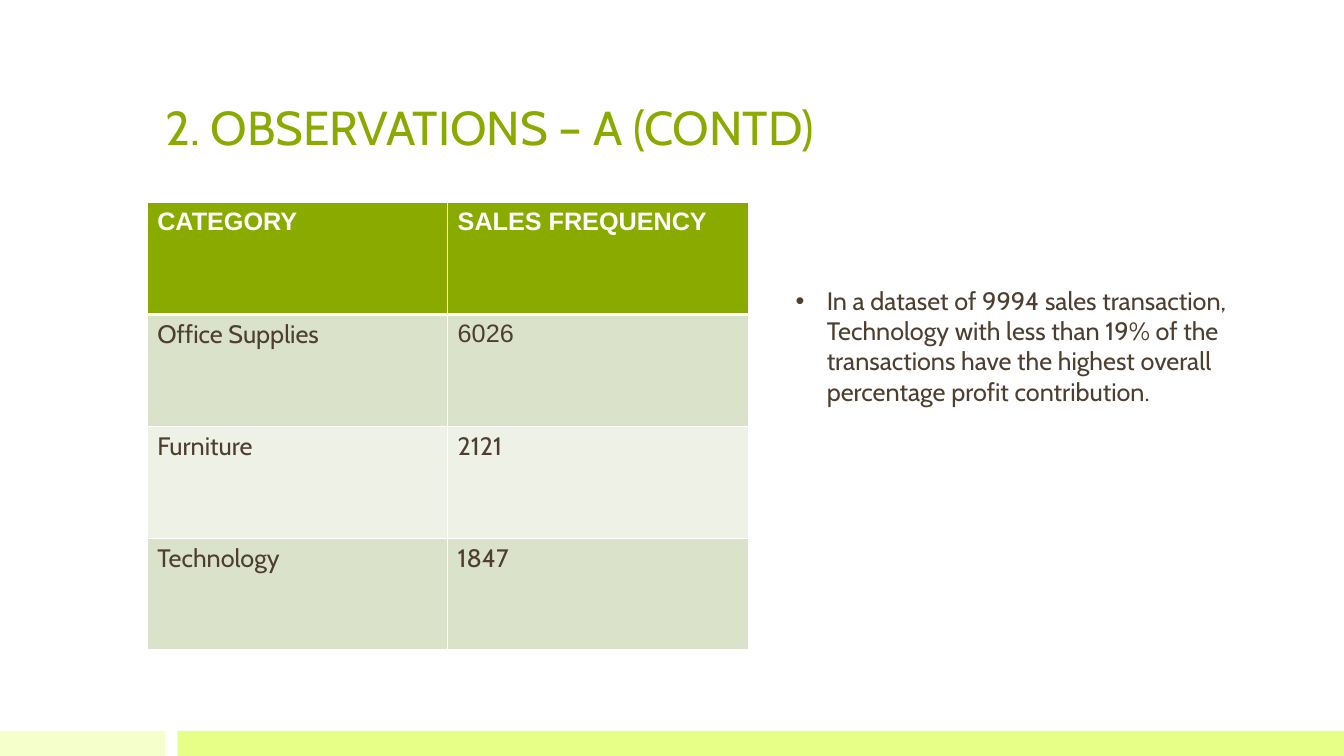
from lxml.etree import SubElement
from pptx import Presentation
from pptx.dml.color import RGBColor
from pptx.enum.shapes import MSO_SHAPE
from pptx.enum.text import MSO_ANCHOR, MSO_AUTO_SIZE, PP_ALIGN
from pptx.oxml.ns import qn
from pptx.util import Inches, Pt

GREEN = RGBColor(0x8B, 0xAA, 0x00)
BROWN = RGBColor(0x4D, 0x3E, 0x2F)
WHITE = RGBColor(0xFF, 0xFF, 0xFF)
PALE = RGBColor(0xF4, 0xFF, 0xCB)
LIME = RGBColor(0xE8, 0xFF, 0x87)
DARK = RGBColor(0xDA, 0xE2, 0xCA)
LIGHT = RGBColor(0xED, 0xF1, 0xE6)


class Deck:
    main, plain, size = "Cabin", "Arial", 18

    def __init__(self):
        self.file = Presentation()
        self.file.slide_width = Inches(13.33)
        self.file.slide_height = Inches(7.5)
        self.slide = self.file.slides.add_slide(self.file.slide_layouts[1])

    def place(self, shape, left, top, width, height):
        shape.left, shape.top = Inches(left), Inches(top)
        shape.width, shape.height = Inches(width), Inches(height)

    def label(self, para, text, color, size=None, face=None, bold=False):
        para.alignment = PP_ALIGN.LEFT
        para.space_before = Pt(0)
        run = para.add_run()
        run.text = text
        font = run.font
        font.name, font.size, font.bold = face or self.main, Pt(size or self.size), bold
        font.color.rgb = color

    def band(self, left, width, color):
        bar = self.slide.shapes.add_shape(
            MSO_SHAPE.RECTANGLE, Inches(left), Inches(7.25), Inches(width), Inches(0.25))
        bar.shadow.inherit = False
        bar.fill.solid()
        bar.fill.fore_color.rgb = color
        bar.line.fill.background()

    def title(self, text, *box):
        shape = self.slide.shapes.title
        self.place(shape, *box)
        frame = shape.text_frame
        frame.word_wrap = True
        frame.auto_size = MSO_AUTO_SIZE.NONE
        frame.vertical_anchor = MSO_ANCHOR.BOTTOM
        self.label(frame.paragraphs[0], text, GREEN, 34)

    def body(self, text, *box):
        shape = self.slide.placeholders[1]
        self.place(shape, *box)
        frame = shape.text_frame
        frame.word_wrap = True
        frame.auto_size = MSO_AUTO_SIZE.SHAPE_TO_FIT_TEXT
        frame.vertical_anchor = MSO_ANCHOR.TOP
        para = frame.paragraphs[0]
        props = para._p.get_or_add_pPr()
        props.set("marL", str(Inches(0.31)))
        props.set("indent", str(Inches(-0.31)))
        tint = SubElement(props, qn("a:buClr"))
        SubElement(tint, qn("a:srgbClr"), val=str(BROWN))
        SubElement(props, qn("a:buFont"), typeface=self.plain)
        SubElement(props, qn("a:buChar"), char="•")
        self.label(para, text, BROWN)

    def edge(self, cell, side, width):
        line = SubElement(cell._tc.get_or_add_tcPr(), qn("a:ln" + side), w=str(Pt(width)))
        fill = SubElement(line, qn("a:solidFill"))
        SubElement(fill, qn("a:srgbClr"), val=str(WHITE))

    def table(self, rows, left, top, wide, high):
        count, span = len(rows), len(rows[0])
        grid = self.slide.shapes.add_table(
            count, span, Inches(left), Inches(top),
            Inches(wide * span), Inches(high * count)).table
        for col in grid.columns:
            col.width = Inches(wide)
        for i, row in enumerate(rows):
            grid.rows[i].height = Inches(high)
            for j, (text, face) in enumerate(row):
                cell = grid.cell(i, j)
                # Borders come before the fill
                for side in "LRTB":
                    thick = (i, side) in ((0, "B"), (1, "T"))
                    self.edge(cell, side, 3 if thick else 1)
                cell.fill.solid()
                cell.fill.fore_color.rgb = GREEN if i == 0 else DARK if i % 2 else LIGHT
                self.label(cell.text_frame.paragraphs[0], text,
                           BROWN if i else WHITE, face=face, bold=i == 0)


def main():
    deck = Deck()

    # Footer bands
    deck.band(0, 1.64, PALE)
    deck.band(1.76, 11.57, LIME)

    # Title and finding
    deck.title("2. OBSERVATIONS – A (CONTD)", 1.54, 0.3, 10.25, 1.29)
    deck.body("In a dataset of 9994 sales transaction, Technology with less than 19% "
              "of the transactions have the highest overall percentage profit "
              "contribution.", 7.79, 2.78, 4.67, 1.31)

    # Sales by category
    sales = [
        [("CATEGORY", deck.plain), ("SALES FREQUENCY", deck.plain)],
        [("Office Supplies", deck.main), ("6026", deck.plain)],
        [("Furniture", deck.main), ("2121", deck.main)],
        [("Technology", deck.main), ("1847", deck.main)],
    ]
    deck.table(sales, 1.46, 2.01, 2.98, 1.11)

    deck.file.save("out.pptx")


if __name__ == "__main__":
    main()
